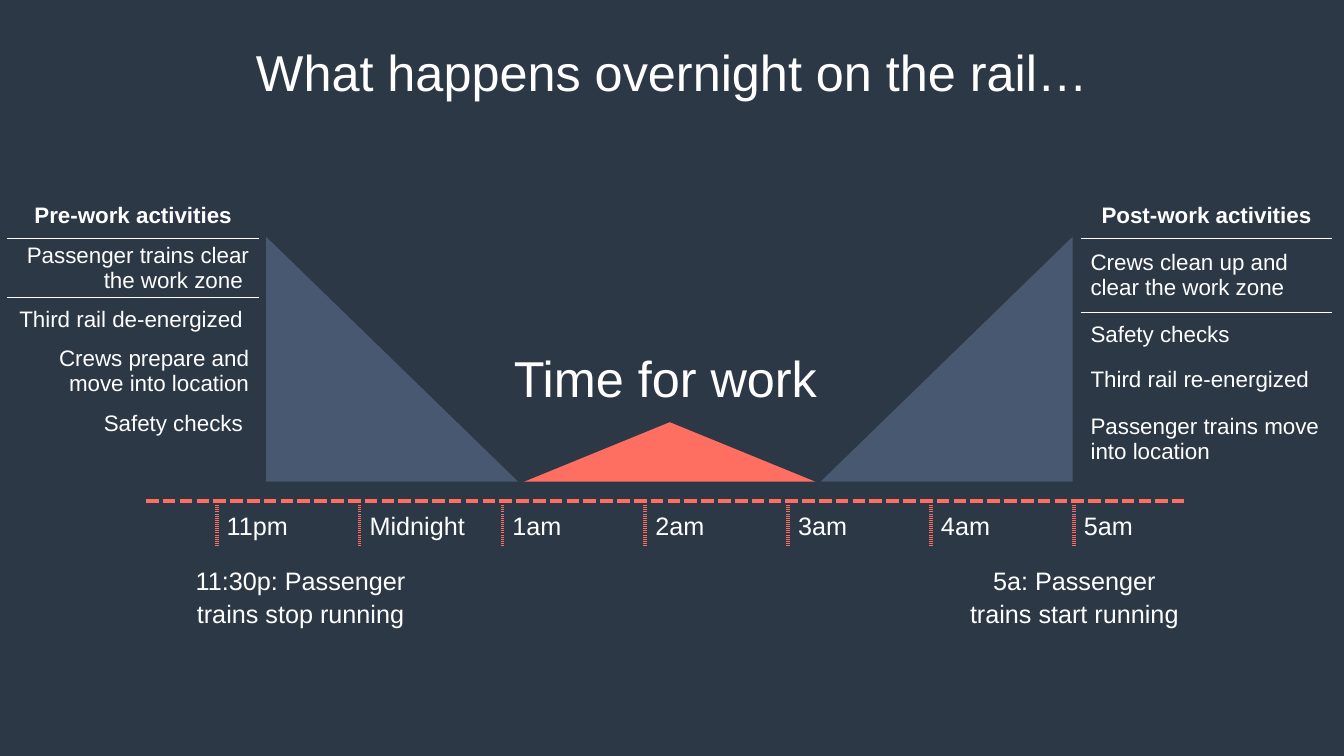
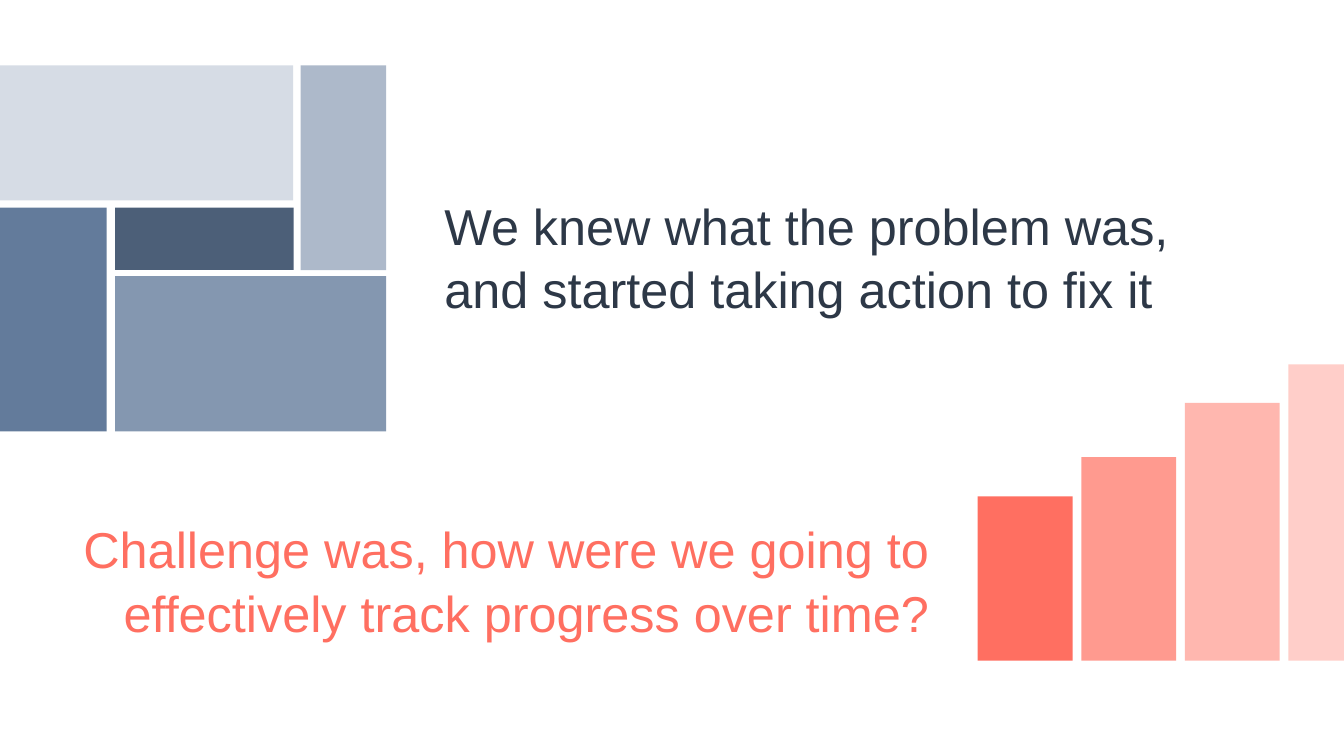
from dataclasses import dataclass

from lxml import etree
from pptx import Presentation
from pptx.dml.color import RGBColor
from pptx.enum.dml import MSO_LINE
from pptx.enum.shapes import MSO_CONNECTOR, MSO_SHAPE
from pptx.enum.text import MSO_ANCHOR, PP_ALIGN
from pptx.oxml.ns import qn
from pptx.util import Cm, Pt

LEFT, CENTER, RIGHT = PP_ALIGN.LEFT, PP_ALIGN.CENTER, PP_ALIGN.RIGHT
TOP, MIDDLE, BOTTOM = MSO_ANCHOR.TOP, MSO_ANCHOR.MIDDLE, MSO_ANCHOR.BOTTOM
RECTANGLE, TRIANGLE = MSO_SHAPE.RECTANGLE, MSO_SHAPE.ISOSCELES_TRIANGLE
RIGHT_TRIANGLE = MSO_SHAPE.RIGHT_TRIANGLE
STRAIGHT = MSO_CONNECTOR.STRAIGHT
SQUARE_DOT = MSO_LINE.SQUARE_DOT
PLAIN_TABLE = "{2D5ABB26-0587-4C30-8999-92F81FD0307C}"
SLIDE_WIDTH, SLIDE_HEIGHT = 33.87, 19.05


@dataclass(frozen=True)
class Theme:
    """Colours and type sizes shared by the slides."""

    font: str = "Arial"
    navy: str = "2D3847"
    slate: str = "485870"
    coral: str = "FF6F61"
    white: str = "FFFFFF"
    blues: tuple = ("D6DCE5", "ADB9CA", "4C5F78", "637B9B", "8497B0")
    corals: tuple = ("FF6F61", "FF9A8F", "FFB7AF", "FFCEC9")
    heading: int = 36
    caption: int = 18
    activity: int = 16
    rule: int = 1
    dots: int = 3


THEME = Theme()


@dataclass(frozen=True)
class Box:
    """A rectangle measured in centimetres."""

    left: float
    top: float
    width: float
    height: float

    def inner(self, left, top, width, height):
        """Return a box placed relative to this one."""
        return Box(self.left + left, self.top + top, width, height)

    def lengths(self):
        """Return the four measures as lengths."""
        return tuple(Cm(v) for v in (self.left, self.top, self.width, self.height))


def apply_format(target, values):
    """Set each named attribute of the target."""
    for name, value in values.items():
        setattr(target, name, value)


def write_text(frame, text, size, color, align=LEFT, bold=False, spacing=None):
    """Write one formatted paragraph into a text frame."""
    paragraph = frame.paragraphs[0]
    apply_format(paragraph, {"alignment": align, "line_spacing": spacing})
    run = paragraph.add_run()
    run.text = text
    apply_format(run.font, {"name": THEME.font, "size": Pt(size), "bold": bold})
    run.font.color.rgb = RGBColor.from_string(color)


def add_text(slide, box, text, size, color, align=LEFT, anchor=MIDDLE,
             spacing=None, insets=(0.25, 0.13)):
    """Add a wrapping text box."""
    frame = slide.shapes.add_textbox(*box.lengths()).text_frame
    side, edge = (Cm(inset) for inset in insets)
    apply_format(frame, {
        "word_wrap": True, "vertical_anchor": anchor,
        "margin_left": side, "margin_right": side,
        "margin_top": edge, "margin_bottom": edge,
    })
    write_text(frame, text, size, color, align, spacing=spacing)


def add_block(slide, kind, box, color, mirrored=False):
    """Add a filled shape without an outline."""
    shape = slide.shapes.add_shape(kind, *box.lengths())
    shape.shadow.inherit = False
    shape.fill.solid()
    shape.fill.fore_color.rgb = RGBColor.from_string(color)
    shape.line.fill.background()
    if mirrored:
        shape._element.spPr.find(qn("a:xfrm")).set("flipH", "1")


def add_border(cell, side, color, width, dash="solid"):
    """Draw a border on one side of a table cell."""
    line = etree.Element(qn(f"a:ln{side}"), w=str(Pt(width)))
    fill = etree.SubElement(line, qn("a:solidFill"))
    etree.SubElement(fill, qn("a:srgbClr"), val=color)
    etree.SubElement(line, qn("a:prstDash"), val=dash)
    cell._tc.get_or_add_tcPr().insert(0, line)


def add_plain_table(slide, box, row_heights, column_widths):
    """Add an unstyled table and return it."""
    table = slide.shapes.add_table(
        len(row_heights), len(column_widths), *box.lengths()).table
    apply_format(table, {"first_row": False, "horz_banding": False})
    table._tbl.tblPr.find(qn("a:tableStyleId")).text = PLAIN_TABLE
    for row, height in zip(table.rows, row_heights):
        row.height = Cm(height)
    for column, width in zip(table.columns, column_widths):
        column.width = Cm(width)
    for cell in table.iter_cells():
        cell.fill.background()
    return table


def add_activities(slide, box, texts, row_heights, align):
    """Add a ruled heading with a list of activities below it."""
    table = add_plain_table(slide, box, row_heights, [box.width])
    for index, (cell, text) in enumerate(zip(table.iter_cells(), texts)):
        is_heading = index == 0
        apply_format(cell, {"vertical_anchor": MIDDLE,
                            "margin_top": Cm(0.05), "margin_bottom": Cm(0.05)})
        write_text(cell.text_frame, text, THEME.activity, THEME.white,
                   CENTER if is_heading else align, is_heading)
    add_border(table.cell(0, 0), "B", THEME.white, THEME.rule)
    add_border(table.cell(1, 0), "T", THEME.white, THEME.rule)


def add_timeline(slide, box, hours):
    """Add the dotted time axis, its hour ticks and the service captions."""
    column_width = 3.6
    hours_box = box.inner(1.78, 0.11, column_width * len(hours), 1.02)
    table = add_plain_table(
        slide, hours_box, [hours_box.height], [column_width] * len(hours))
    for cell, hour in zip(table.iter_cells(), hours):
        cell.vertical_anchor = BOTTOM
        write_text(cell.text_frame, hour, THEME.caption, THEME.white)
        add_border(cell, "L", THEME.coral, THEME.dots, "sysDot")
    for left, text in ((20.27, "5a: Passenger trains start running"),
                       (0.77, "11:30p: Passenger trains stop running")):
        add_text(slide, box.inner(left, 1.45, 6.25, 1.8), text, THEME.caption,
                 THEME.white, CENTER, TOP, 1.07)
    axis = slide.shapes.add_connector(
        STRAIGHT, Cm(box.left), Cm(box.top), Cm(box.left + box.width), Cm(box.top))
    axis.line.color.rgb = RGBColor.from_string(THEME.coral)
    apply_format(axis.line, {"width": Pt(THEME.dots), "dash_style": SQUARE_DOT})
    etree.SubElement(axis._element.spPr, qn("a:effectLst"))


def add_work_window(slide, box):
    """Add the two ramps and the short peak of working time between them."""
    ramp_width = 6.35
    for left, mirrored in ((0, False), (box.width - ramp_width, True)):
        add_block(slide, RIGHT_TRIANGLE, box.inner(left, 0, ramp_width, box.height),
                  THEME.slate, mirrored)
    add_block(slide, TRIANGLE, box.inner(6.5, box.height - 1.5, 7.34, 1.5),
              THEME.coral)
    add_text(slide, box.inner(5.99, 2.11, 8.28, 2.87), "Time for work",
             THEME.heading, THEME.white)


def add_mosaic(slide, box):
    """Add the block of blue tiles."""
    tiles = ((0, 0, 7.39, 3.4), (7.58, 0, 2.15, 5.16), (2.9, 3.58, 4.5, 1.57),
             (0, 3.58, 2.69, 5.64), (2.9, 5.31, 6.83, 3.91))
    for tile, color in zip(tiles, THEME.blues):
        add_block(slide, RECTANGLE, box.inner(*tile), color)


def add_steps(slide, box):
    """Add rising bars that run to the right edge of the box."""
    bar_width, pitch = 2.39, 2.61
    for index, (height, color) in enumerate(
            zip((4.14, 5.13, 6.5, 7.47), THEME.corals)):
        left = index * pitch
        bar = box.inner(left, box.height - height,
                        min(bar_width, box.width - left), height)
        add_block(slide, RECTANGLE, bar, color)


def add_statement(slide, box, text, color, align):
    """Add a large two-line statement."""
    add_text(slide, box, text, THEME.heading, color, align,
             spacing=1.05, insets=(0.33, 0.18))


def new_slide(presentation, color):
    """Add a blank slide with a solid background."""
    slide = presentation.slides.add_slide(presentation.slide_layouts[6])
    slide.background.fill.solid()
    slide.background.fill.fore_color.rgb = RGBColor.from_string(color)
    return slide


def build_overnight(presentation):
    """Build the slide about a night on the rail."""
    slide = new_slide(presentation, THEME.navy)
    add_activities(
        slide, Box(0.18, 4.88, 6.35, 6.36),
        ("Pre-work activities", "Passenger trains clear the work zone ",
         "Third rail de-energized ", "Crews prepare and move into location",
         "Safety checks "),
        (1.14, 1.47, 1.14, 1.47, 1.14), RIGHT)
    add_activities(
        slide, Box(27.23, 4.88, 6.35, 7.12),
        ("Post-work activities", "Crews clean up and clear the work zone",
         "Safety checks", "Third rail re-energized",
         "Passenger trains move into location"),
        (1.12, 1.88, 1.12, 1.12, 1.88), LEFT)
    add_timeline(slide, Box(3.68, 12.62, 26.16, 3.25),
                 ("11pm", "Midnight", "1am", "2am", "3am", "4am", "5am"))
    add_work_window(slide, Box(6.71, 5.97, 20.32, 6.17))
    add_text(slide, Box(0, 0.51, SLIDE_WIDTH, 2.57),
             "What happens overnight on the rail…",
             THEME.heading, THEME.white, CENTER)


def build_challenge(presentation):
    """Build the slide about the problem and the challenge."""
    slide = new_slide(presentation, THEME.white)
    add_statement(
        slide, Box(0.86, 12.52, 22.89, 4.14),
        "Challenge was, how were we going to effectively track progress over time?",
        THEME.coral, RIGHT)
    add_steps(slide, Box(24.64, 9.18, SLIDE_WIDTH - 24.64, 7.47))
    add_statement(
        slide, Box(10.87, 4.37, 21.36, 4.14),
        "We knew what the problem was, and started taking action to fix it",
        THEME.navy, LEFT)
    add_mosaic(slide, Box(0, 1.65, 9.73, 9.22))


def main():
    """Build and save the presentation."""
    presentation = Presentation()
    apply_format(presentation, {"slide_width": Cm(SLIDE_WIDTH),
                                "slide_height": Cm(SLIDE_HEIGHT)})
    build_overnight(presentation)
    build_challenge(presentation)
    presentation.save("out.pptx")


if __name__ == "__main__":
    main()
